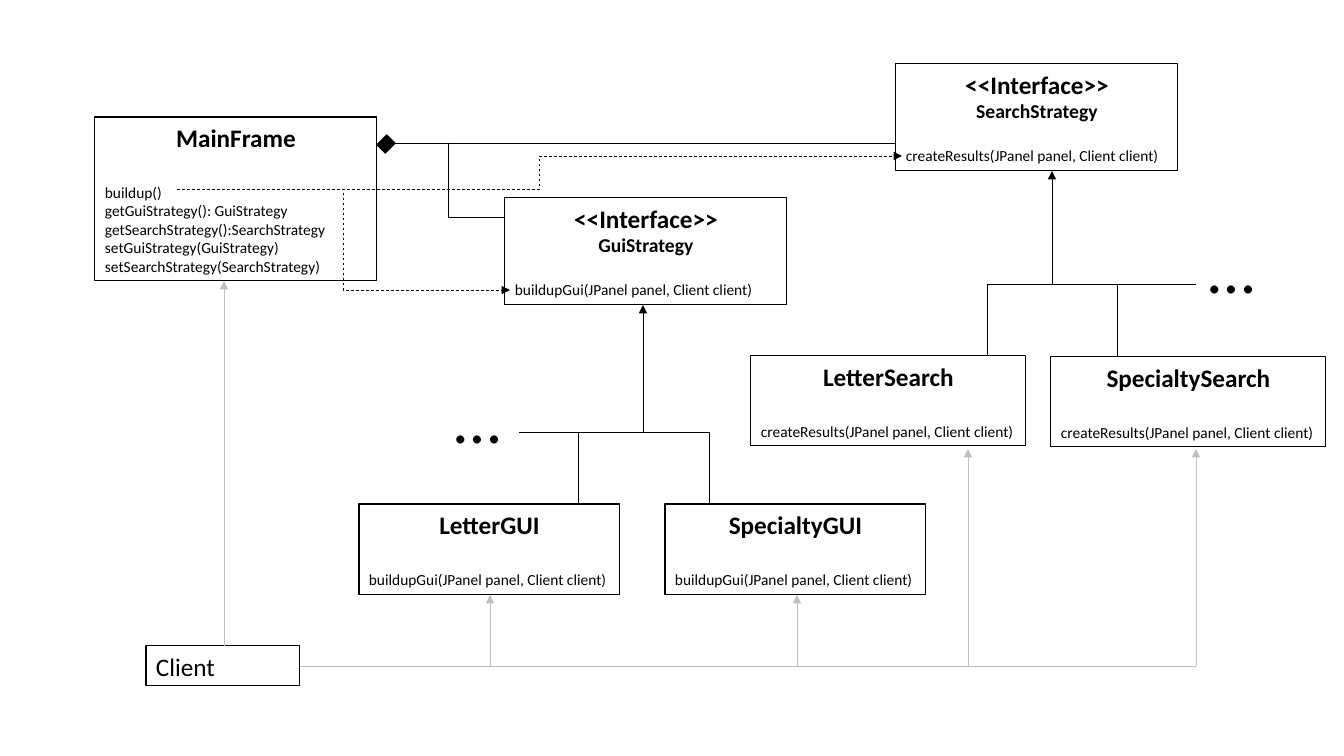
from pptx import Presentation
from pptx.dml.color import RGBColor
from pptx.enum.dml import MSO_LINE
from pptx.enum.shapes import MSO_CONNECTOR, MSO_SHAPE
from pptx.enum.text import MSO_ANCHOR, PP_ALIGN
from pptx.oxml.ns import qn
from pptx.util import Pt
from lxml.etree import SubElement

# Content: left, top, width, height; titles; operations
GUI = "buildupGui(JPanel panel, Client client)"
SEARCH = "createResults(JPanel panel, Client client)"
CLASSES = [
    ((95, 117, 282, 164), ["MainFrame"],
     ["buildup()", "getGuiStrategy(): GuiStrategy",
      "getSearchStrategy():SearchStrategy", "setGuiStrategy(GuiStrategy)",
      "setSearchStrategy(SearchStrategy)"]),
    ((505, 198, 282, 107), ["<<Interface>>", "GuiStrategy"], [GUI]),
    ((896, 64, 282, 107), ["<<Interface>>", "SearchStrategy"], [SEARCH]),
    ((359, 504, 261, 91), ["LetterGUI"], [GUI]),
    ((665, 504, 261, 91), ["SpecialtyGUI"], [GUI]),
    ((751, 356, 275, 90), ["LetterSearch"], [SEARCH]),
    ((1051, 357, 275, 90), ["SpecialtySearch"], [SEARCH]),
]
CLIENT = (146, 646, 154, 40)
KNOT = (380, 137, 12, 14)
DOTS = [(445, 371, 121, 92), (1199, 221, 121, 92)]

# Links: x1, y1, x2, y2; arrows point at the second end
CALLS = [(177, 189, 510, 290), (177, 189, 902, 156)]
OWNS = [(391, 143, 896, 143), (448, 143, 448, 217), (448, 217, 505, 217)]
# Trees: bar left, bar right, bar y, child xs, child top, stem x, parent base
TREES = [(519, 709, 432, (578, 709), 504, 643, 305),
         (987, 1196, 284, (987, 1117), 356, 1052, 171)]
# Uses: x, tip y
BUS = 666
USES = [(490, 595), (797, 595), (968, 449), (1196, 449)]

THEME = {
    "font": "Calibri", "ink": RGBColor(0, 0, 0), "pale": RGBColor(191, 191, 191),
    "head": 18, "sub": 14, "body": 11, "dots": 48,
    "edge": 0.75, "link": 0.5, "lead": 1.22,
}
SCALE = 914400 / 100.8


def px(*vals):
    return [round(v * SCALE) for v in vals]


def apply(obj, **fmt):
    for key, val in fmt.items():
        setattr(obj, key, val)


deck = Presentation()
apply(deck, slide_width=px(1344)[0], slide_height=px(756)[0])
slide = deck.slides.add_slide(deck.slide_layouts[6])
shapes = slide.shapes


def write(frame, rows):
    """Each row holds text, size, bold, alignment and gap above."""
    apply(frame, word_wrap=True, vertical_anchor=MSO_ANCHOR.TOP)
    for i, (text, size, bold, align, gap) in enumerate(rows):
        para = frame.paragraphs[0] if i == 0 else frame.add_paragraph()
        apply(para, alignment=align, space_before=Pt(gap))
        run = para.add_run()
        run.text = text
        apply(run.font, name=THEME["font"], size=Pt(size), bold=bold)
        run.font.color.rgb = THEME["ink"]


def box(area, rows=(), solid=False):
    shape = shapes.add_shape(MSO_SHAPE.RECTANGLE, *px(*area))
    shape.shadow.inherit = False
    if solid:
        shape.fill.solid()
        shape.fill.fore_color.rgb = THEME["ink"]
    else:
        shape.fill.background()
    shape.line.color.rgb = THEME["ink"]
    shape.line.width = Pt(THEME["edge"])
    write(shape.text_frame, rows)
    return shape


def link(ends, color="ink", arrow=False, call=False):
    kind = MSO_CONNECTOR.ELBOW if call else MSO_CONNECTOR.STRAIGHT
    wire = shapes.add_connector(kind, *px(*ends))
    wire.line.color.rgb = THEME[color]
    wire.line.width = Pt(THEME["link"])
    if call:
        wire.line.dash_style = MSO_LINE.DASH
    if arrow:
        SubElement(wire.line._get_or_add_ln(), qn("a:tailEnd"), type="triangle")
    SubElement(wire._element.spPr, qn("a:effectLst"))


# Class boxes
box(CLIENT, [("Client", THEME["head"], False, PP_ALIGN.LEFT, 0)])
for area, heads, calls in CLASSES:
    sizes = [THEME["head"], THEME["sub"]][:len(heads)]
    rows = [(text, size, True, PP_ALIGN.CENTER, 0)
            for text, size in zip(heads, sizes)]
    gap = sizes[-1] * THEME["lead"]
    rows += [(text, THEME["body"], False, PP_ALIGN.LEFT, 0 if i else gap)
             for i, text in enumerate(calls)]
    box(area, rows)

# Calls and composition
for ends in CALLS:
    link(ends, arrow=True, call=True)
box(KNOT, solid=True).rotation = 45
for ends in OWNS:
    link(ends)

# Inheritance trees
for left, right, bar, kids, top, stem, base in TREES:
    for x in kids:
        link((x, bar, x, top))
    link((stem, bar, stem, base), arrow=True)
    link((left, bar, right, bar))

# Client uses
x, y, w, h = CLIENT
link((224, y, 224, 281), "pale", arrow=True)
for use, tip in USES:
    link((use, BUS, use, tip), "pale", arrow=True)
link((x + w, BUS, USES[-1][0], BUS), "pale")

# Further subclasses
for area in DOTS:
    note = shapes.add_textbox(*px(*area))
    write(note.text_frame, [("…", THEME["dots"], False, PP_ALIGN.LEFT, 0)])

deck.save("out.pptx")
